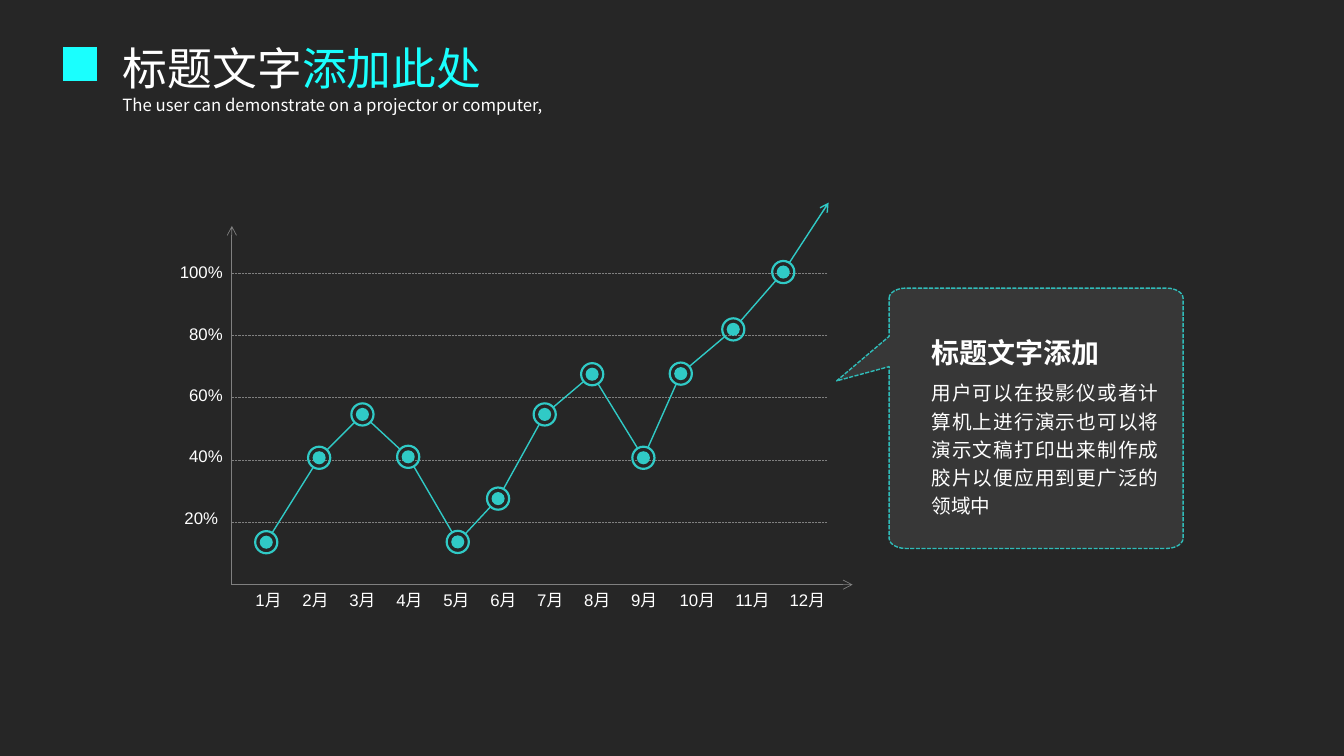
import math
from dataclasses import dataclass

from lxml import etree
from pptx import Presentation
from pptx import util as u
from pptx.dml import color
from pptx.enum import dml, shapes, text
from pptx.oxml import ns


@dataclass(frozen=True)
class Theme:
    back: str = "262626"
    white: str = "FFFFFF"
    grey: str = "808080"
    teal: str = "30CAC6"
    cyan: str = "1AFFFE"
    latin: str = "Arial"
    asian: str = "Noto Sans CJK SC"
    head: int = 32
    sub: int = 20
    body: int = 14
    label: int = 12
    thin: float = 0.5
    line: float = 1


T = Theme()
COLS, ROWS = 160, 90
CELL = u.Inches(1) / 12
LEFT, RIGHT, BOTH = text.PP_ALIGN.LEFT, text.PP_ALIGN.RIGHT, text.PP_ALIGN.JUSTIFY
LEVELS = ["20% ", "40%", "60%", "80%", "100%"]
POINTS = [
    (4.1, 13.6), (10.4, 40.7), (15.55, 54.6), (21, 41),
    (26.9, 13.7), (31.7, 27.6), (37.25, 54.6), (42.9, 67.5),
    (49, 40.7), (53.45, 67.7), (59.7, 81.9), (65.65, 100.3),
]
GOAL = (71.05, 122.6)


def cells(*nums):
    return [u.Emu(round(n * CELL)) for n in nums]


def rgb(code):
    return color.RGBColor.from_string(code)


def node(home, tag, **attrs):
    return etree.SubElement(home, ns.qn(tag), **attrs)


def fade(fill, share):
    for tint in fill.iter(ns.qn("a:srgbClr")):
        node(tint, "a:alpha", val=str(share * 1000))


def write(frame, *runs, size=T.label, font=T.latin, bold=False, align=LEFT, space=None):
    frame.word_wrap = True
    frame.auto_size = text.MSO_AUTO_SIZE.SHAPE_TO_FIT_TEXT
    frame.vertical_anchor = text.MSO_ANCHOR.TOP
    para = frame.paragraphs[0]
    para.alignment = align
    if space:
        para.line_spacing = space
    for words, tone in runs:
        run = para.add_run()
        run.text = words
        run.font.size = u.Pt(size)
        run.font.bold = bold
        run.font.name = font
        run.font.color.rgb = rgb(tone)
        node(run.font._element, "a:ea", typeface=T.asian)


def label(home, box, words, **style):
    item = home.add_textbox(*cells(*box))
    write(item.text_frame, (words, T.white), **style)


def solid(home, kind, box, tone):
    item = home.add_shape(kind, *cells(*box))
    item.shadow.inherit = False
    item.fill.solid()
    item.fill.fore_color.rgb = rgb(tone)
    item.line.fill.background()
    return item


def stroke(home, start, end, tone, width, dots=False, arrow=False):
    item = home.add_connector(shapes.MSO_CONNECTOR.STRAIGHT, *cells(*start, *end))
    item.line.color.rgb = rgb(tone)
    item.line.width = u.Pt(width)
    if dots:
        item.line.dash_style = dml.MSO_LINE.ROUND_DOT
    if arrow:
        node(item.line._get_or_add_ln(), "a:tailEnd", type="arrow")
    node(item._element.spPr, "a:effectLst")


def header(page, box):
    x, y, w, h = box
    title = page.shapes.title
    title.left, title.top, title.width, title.height = cells(x + 5.9, y, 58.6, 7.7)
    write(title.text_frame, ("标题文字", T.white), ("添加此处", T.cyan),
          size=T.head, font=T.asian)
    label(page.shapes, (x + 5.9, y + 6, w - 5.9, h - 6),
          "The user can demonstrate on a projector or computer,",
          font=T.asian, space=1.14)
    solid(page.shapes, shapes.MSO_SHAPE.RECTANGLE, (x, y + 1.3, 4.05, 4.05), T.cyan)


def dot(home, x, y):
    ring, core = 2.9, 1.56
    item = solid(home, shapes.MSO_SHAPE.DONUT,
                 (x - ring / 2, y - ring / 2, ring, ring), T.teal)
    item.adjustments[0] = 0.09
    solid(home, shapes.MSO_SHAPE.OVAL,
          (x - core / 2, y - core / 2, core, core), T.teal)


def graph(page, box):
    x, y, w, h = box
    base, full, gap = y + h, 37.1, 1.4
    home = page.shapes.add_group_shape().shapes
    stroke(home, (x, base), (x, y), T.grey, T.thin, arrow=True)
    stroke(home, (x, base), (x + w, base), T.grey, T.thin, arrow=True)
    for n, words in enumerate(LEVELS):
        level = base - full * (n + 1) / len(LEVELS)
        stroke(home, (x, level), (x + 70.9, level), T.grey, T.thin, dots=True)
        label(home, (x - 13.7, base - 9.8 - 7.3 * n, 13.8, 3.6), words, align=RIGHT)
    ends = [7.1 + 5.59 * n for n in range(9)] + [58.7, 65.2, 71.8]
    for n, end in enumerate(ends, 1):
        wide = 7.1 if n < 10 else 9.5
        label(home, (x + end - wide, base, wide, 3.6), f"{n}月", align=RIGHT)
    spots = [(x + a, base - full * b / 100) for a, b in POINTS + [GOAL]]
    for (ax, ay), (bx, by) in zip(spots, spots[1:]):
        size = math.hypot(bx - ax, by - ay)
        dx, dy = (bx - ax) / size * gap, (by - ay) / size * gap
        last = (bx, by) == spots[-1]
        end = (bx, by) if last else (bx - dx, by - dy)
        stroke(home, (ax + dx, ay + dy), end, T.teal, T.line, arrow=last)
    for spot in spots[:-1]:
        dot(home, *spot)


def callout(page, box):
    x, y, w, h = box
    rx, ry, steps = 2, 1.2, 6
    home = page.shapes.add_group_shape().shapes
    hubs = [(x + rx, y + ry), (x + w - rx, y + ry),
            (x + w - rx, y + h - ry), (x + rx, y + h - ry)]
    edge = []
    for n, (cx, cy) in enumerate(hubs):
        for k in range(steps + 1):
            turn = math.pi * (1 + (n + k / steps) / 2)
            edge.append((cx + rx * math.cos(turn), cy + ry * math.sin(turn)))
    edge += [(x, y + 9.35), (x - 6.25, y + 11.05), (x, y + 5.75)]
    path = [cells(*spot) for spot in edge]
    pen = home.build_freeform(*path[0], scale=1.0)
    pen.add_line_segments(path[1:], close=True)
    item = pen.convert_to_shape()
    item.shadow.inherit = False
    item.fill.solid()
    item.fill.fore_color.rgb = rgb(T.white)
    fade(item._element.spPr.find(ns.qn("a:solidFill")), 8)
    item.line.color.rgb = rgb(T.teal)
    item.line.width = u.Pt(T.line)
    item.line.dash_style = dml.MSO_LINE.SQUARE_DOT
    fade(item.line._get_or_add_ln(), 91)
    label(home, (x + 3.85, y + 9.95, 29.4, 18.1),
          "用户可以在投影仪或者计算机上进行演示也可以将演示文稿打印出来制作成胶片以便应用到更广泛的领域中",
          size=T.body, align=BOTH, space=1.2)
    label(home, (x + 3.85, y + 4.2, 29.4, 5.6), "标题文字添加",
          size=T.sub, bold=True, align=BOTH, space=1.2)


def main():
    deck = Presentation()
    deck.slide_width, deck.slide_height = cells(COLS, ROWS)
    page = deck.slides.add_slide(deck.slide_layouts[5])
    page.background.fill.solid()
    page.background.fill.fore_color.rgb = rgb(T.back)
    graph(page, (27.6, 26.9, 73.9, 42.7))
    callout(page, (105.85, 34.3, 35, 31))
    header(page, (7.5, 4.3, 85.3, 9.7))
    deck.save("out.pptx")


if __name__ == "__main__":
    main()
